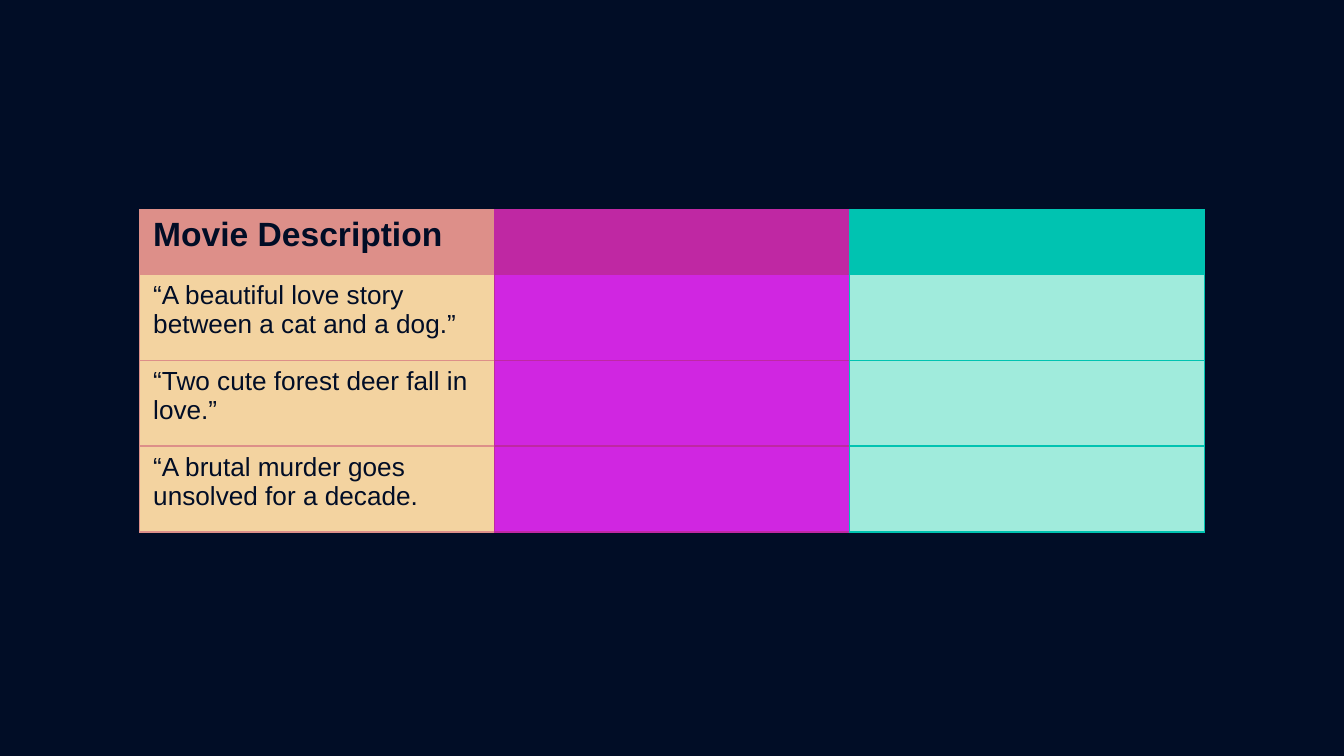
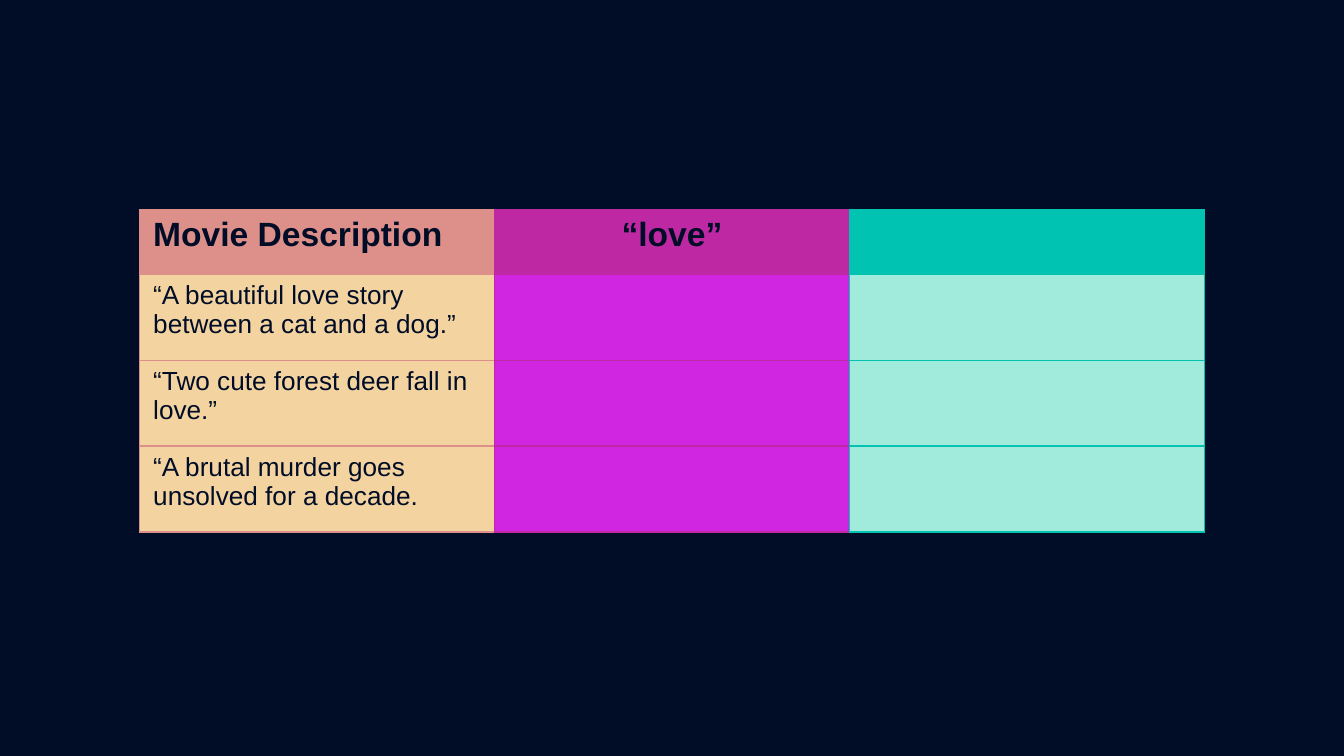
from dataclasses import dataclass

from lxml import etree
from pptx import Presentation
from pptx.dml.color import RGBColor
from pptx.enum.text import PP_ALIGN
from pptx.oxml.ns import qn
from pptx.util import Inches, Pt

LEFT, CENTER = PP_ALIGN.LEFT, PP_ALIGN.CENTER


@dataclass(frozen=True)
class ColumnStyle:
    """Colours and alignment of one table column."""
    header: str
    body: str
    right_border: str
    alignment: PP_ALIGN


@dataclass(frozen=True)
class Theme:
    """Colours, type and line widths shared by the slides."""
    ink: str = "010D26"
    font: str = "Arial"
    header_size: int = 18
    body_size: int = 14
    border_width: float = 0.75
    columns: tuple = (
        ColumnStyle("DD8F89", "F3D3A0", "BF28A3", LEFT),
        ColumnStyle("BF28A3", "D026E1", "00C3B1", CENTER),
        ColumnStyle("00C3B1", "A0EBDC", "00C3B1", CENTER),
    )


THEME = Theme()
SLIDE_WIDTH = 10
SLIDE_HEIGHT = SLIDE_WIDTH * 9 / 16
TABLE_WIDTH, TABLE_TOP = 7.92, 1.56
ROW_HEIGHTS = (0.48, 0.64, 0.64, 0.64)
TABLE_BOX = ((SLIDE_WIDTH - TABLE_WIDTH) / 2, TABLE_TOP, TABLE_WIDTH, sum(ROW_HEIGHTS))
DESCRIPTIONS = (
    "“A beautiful love story between a cat and a dog.”",
    "“Two cute forest deer fall in love.”",
    "“A brutal murder goes unsolved for a decade.",
)
SLIDE_HEADERS = (
    ("Movie Description", "", ""),
    ("Movie Description", "“love”", ""),
)


def add_borders(cell, style):
    """Draw the four cell borders in the colours of the column."""
    properties = cell._tc.get_or_add_tcPr()
    for side in "LRTB":
        line = etree.SubElement(properties, qn(f"a:ln{side}"), w=str(Pt(THEME.border_width)))
        fill = etree.SubElement(line, qn("a:solidFill"))
        color = style.right_border if side == "R" else style.header
        etree.SubElement(fill, qn("a:srgbClr"), val=color)


def format_cell(cell, text, style, is_header):
    """Give a cell its borders, fill and text."""
    add_borders(cell, style)
    cell.fill.solid()
    cell.fill.fore_color.rgb = RGBColor.from_string(style.header if is_header else style.body)
    if text:
        paragraph = cell.text_frame.paragraphs[0]
        paragraph.alignment = style.alignment
        run = paragraph.add_run()
        run.text = text
        run.font.name = THEME.font
        run.font.size = Pt(THEME.header_size if is_header else THEME.body_size)
        run.font.bold = is_header
        run.font.color.rgb = RGBColor.from_string(THEME.ink)


def add_movie_table(slide, box, headers):
    """Place the table of descriptions and word columns in the box."""
    rows = [headers] + [(description, "", "") for description in DESCRIPTIONS]
    shape = slide.shapes.add_table(len(rows), len(headers), *map(Inches, box))
    table = shape.table
    table.first_row = table.horz_banding = False
    for column in table.columns:
        column.width = Inches(box[2] / len(headers))
    for row_index, (row, height) in enumerate(zip(rows, ROW_HEIGHTS)):
        table.rows[row_index].height = Inches(height)
        for column_index, (text, style) in enumerate(zip(row, THEME.columns)):
            format_cell(table.cell(row_index, column_index), text, style, row_index == 0)


def add_table_slide(presentation, headers):
    """Add a dark slide holding one movie table."""
    slide = presentation.slides.add_slide(presentation.slide_layouts[6])
    slide.background.fill.solid()
    slide.background.fill.fore_color.rgb = RGBColor.from_string(THEME.ink)
    add_movie_table(slide, TABLE_BOX, headers)


def main():
    """Build and save the presentation."""
    presentation = Presentation()
    presentation.slide_width = Inches(SLIDE_WIDTH)
    presentation.slide_height = Inches(SLIDE_HEIGHT)
    for headers in SLIDE_HEADERS:
        add_table_slide(presentation, headers)
    presentation.save("out.pptx")


if __name__ == "__main__":
    main()
